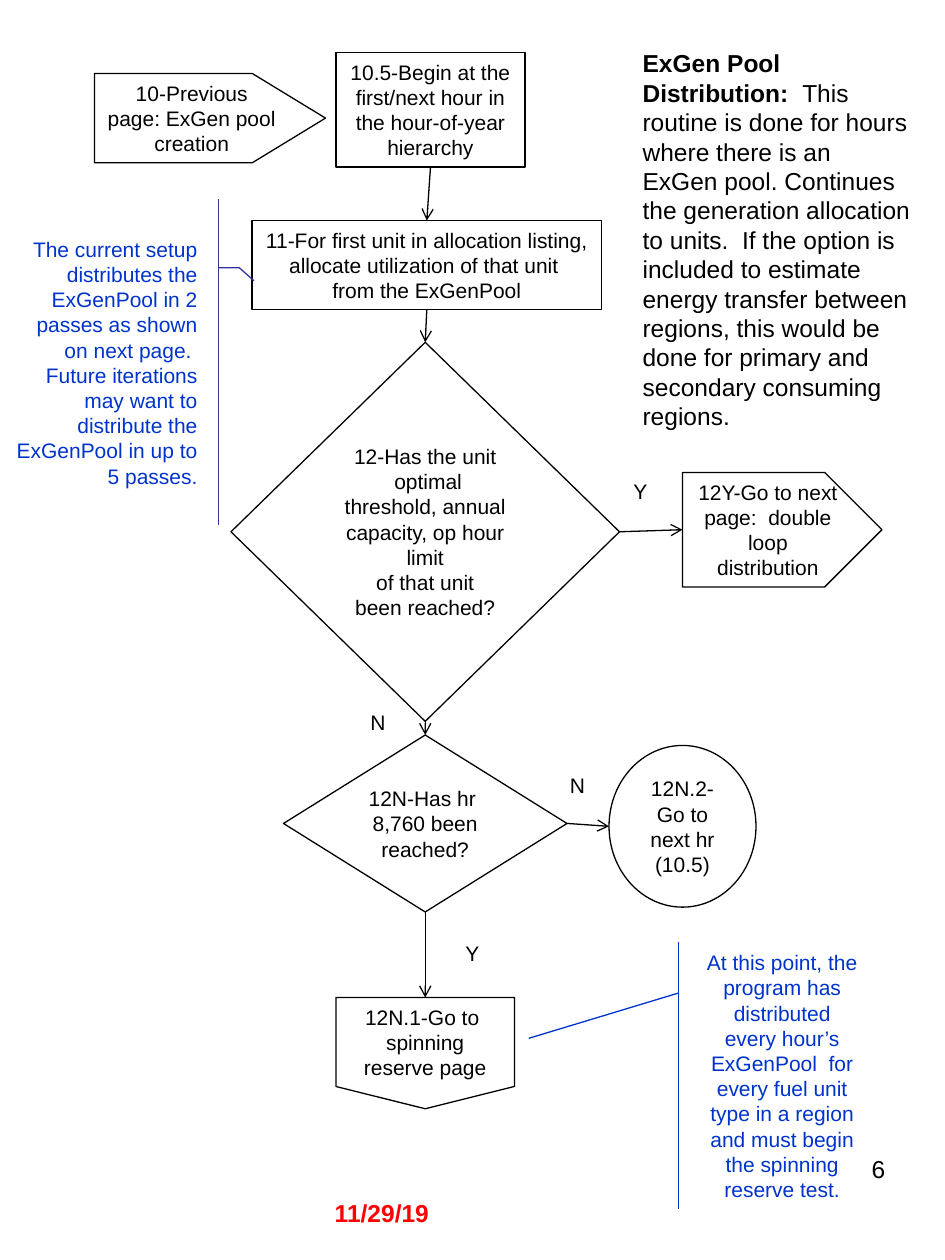
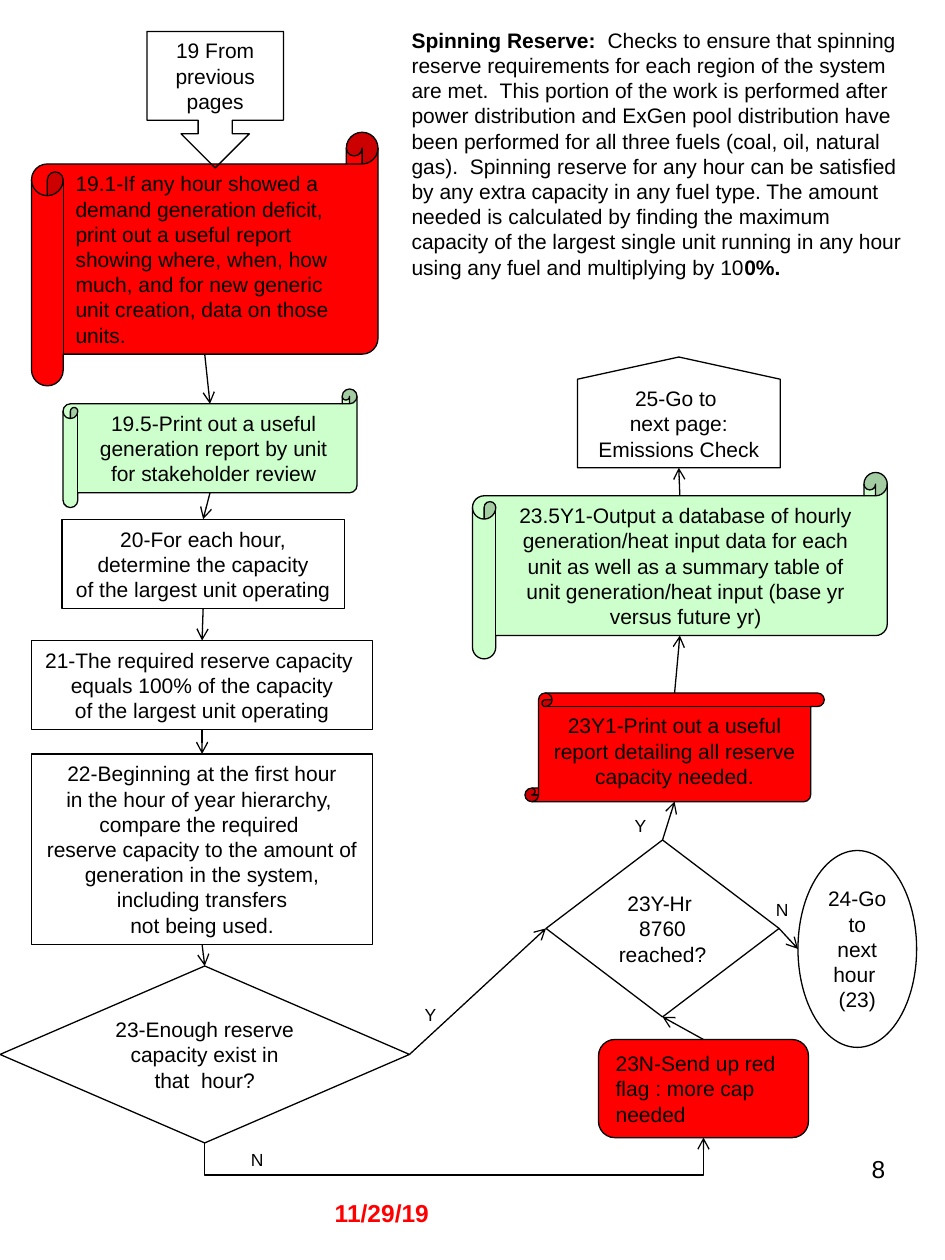
import pptx
import pptx.util
import pptx.dml.color
import pptx.enum.shapes
import pptx.enum.text
import pptx.oxml
import pptx.oxml.ns

KIND = pptx.enum.shapes.MSO_SHAPE
LINK = pptx.enum.shapes.MSO_CONNECTOR
ALIGN = pptx.enum.text.PP_ALIGN
ANCHOR = pptx.enum.text.MSO_ANCHOR
FIT = pptx.enum.text.MSO_AUTO_SIZE
QN = pptx.oxml.ns.qn

WIDE, HIGH = pptx.util.Inches(7.5), pptx.util.Inches(10)
COLS, ROWS = 90, 120
HUES = {"ink": "000000", "alert": "FF0000", "mint": "CCFFCC",
        "note": "0033CC", "rule": "333399"}
FACE = "Arial"
SCROLL = 0.125
NUMBER = (64.5, 109.3, 21, 8.3)
DATE = (30.7, 113.5, 28.5, 4.1)

POOL_HEAD = "ExGen Pool Distribution:  "
POOL_BODY = (
    "This routine is done for hours where there is an ExGen pool. "
    "Continues the generation allocation to units.  If the option is "
    "included to estimate energy transfer between regions, this would be "
    "done for primary and secondary consuming regions.")
SPIN_HEAD = "Spinning Reserve:  "
SPIN_BODY = (
    "Checks to ensure that spinning reserve requirements for each region of "
    "the system are met.  This portion of the work is performed after power "
    "distribution and ExGen pool distribution have been performed for all "
    "three fuels (coal, oil, natural gas).  Spinning reserve for any hour "
    "can be satisfied by any extra capacity in any fuel type. The amount "
    "needed is calculated by finding the maximum capacity of the largest "
    "single unit running in any hour using any fuel and multiplying by 10")

POOL_NODES = {
    "11": (KIND.FLOWCHART_PROCESS, (24, 21, 33.3, 8.5),
           "11-For first unit in allocation listing,\n"
           "allocate utilization of that unit \nfrom the ExGenPool",
           {"wrap": False}),
    "12": (KIND.FLOWCHART_DECISION, (22, 32.6, 37, 36.1),
           "12-Has the unit\n optimal threshold, annual capacity, op hour "
           "limit\n of that unit \nbeen reached?", {}),
    "12N.2": (KIND.FLOWCHART_CONNECTOR, (58, 71, 14, 15.4),
              "12N.2-Go to next hr (10.5)", {}),
    "12N": (KIND.FLOWCHART_DECISION, (27, 70, 27, 16.85),
            "12N-Has hr \n8,760 been\nreached?", {}),
    "12N.1": (KIND.FLOWCHART_OFFPAGE_CONNECTOR, (32, 95, 17, 10.6),
              "12N.1-Go to \nspinning reserve page", {}),
    "passes": (KIND.LINE_CALLOUT_2_ACCENT_BAR, (0, 19, 20, 31),
               "The current setup distributes the ExGenPool in 2 passes as "
               "shown on next page.  Future iterations may want to distribute "
               "the ExGenPool in up to 5 passes.",
               {"bend": (0.21, 1.04, 0.21, 1.14, 0.25, 1.21),
                "line": "rule", "ink": "note", "align": ALIGN.RIGHT}),
    "10": (KIND.PENTAGON, (9, 7, 22, 8.5),
           "10-Previous page: ExGen pool creation", {"bend": (0.82,)}),
    "10.5": (KIND.RECTANGLE, (32, 5, 18, 10.9),
             "10.5-Begin at the first/next hour in the hour-of-year "
             "hierarchy", {}),
    "12Y": (KIND.PENTAGON, (65, 45, 19, 10.9),
            "12Y-Go to next page:  double loop distribution", {}),
    "status": (KIND.LINE_CALLOUT_1_ACCENT_BAR, (66, 89.75, 17, 25.4),
               "At this point, the program has distributed every hour\u2019s "
               "ExGenPool  for every fuel unit type in a region and must "
               "begin the spinning reserve test.",
               {"bend": (0.19, -0.08, 0.36, -0.92),
                "line": "note", "ink": "note"}),
}
POOL_LINKS = [("10.5", "bottom", "11", "top"), ("11", "bottom", "12", "top"),
              ("12", "bottom", "12N", "top"), ("12N", "bottom", "12N.1", "top"),
              ("12", "right", "12Y", "left"), ("12N", "right", "12N.2", "left")]
POOL_TAGS = [("N", (34, 67, 4, 3.6)), ("Y", (58, 45, 6, 3.6)),
             ("N", (53, 73, 4, 3.6)), ("Y", (42, 89, 6, 3.6))]

SPIN_NODES = {
    "20": (KIND.FLOWCHART_PROCESS, (5.9, 49.45, 26.9, 8.5),
           "20-For each hour,\ndetermine the capacity\n"
           "of the largest unit operating", {"wrap": False}),
    "21": (KIND.FLOWCHART_PROCESS, (3, 61, 32.5, 8.5),
           "21-The required reserve capacity \nequals 100% of the capacity\n"
           "of the largest unit operating", {"wrap": False}),
    "23": (KIND.FLOWCHART_DECISION, (0, 92, 39, 16.85),
           "23-Enough reserve \ncapacity exist in that  hour?", {}),
    "22": (KIND.FLOWCHART_PROCESS, (3, 71.8, 32.5, 18.15),
           "22-Beginning at the first hour\nin the hour of year hierarchy, \n"
           "compare the required \nreserve capacity to the amount of "
           "generation in the system, including transfers\nnot being used.",
           {}),
    "23Y": (KIND.FLOWCHART_DECISION, (52, 80, 22.2, 16.85),
            "23Y-Hr  8760 reached?", {}),
    "24": (KIND.FLOWCHART_CONNECTOR, (76, 81, 11.3, 18.75),
           "24-Go\n to \nnext\nhour \n(23)", {"wrap": False}),
    "25": (KIND.FLOWCHART_OFFPAGE_CONNECTOR, (55, 34, 19.3, 10.55),
           "25-Go to \nnext page: Emissions Check", {"turn": 180}),
    "23N": (KIND.FLOWCHART_ALTERNATE_PROCESS, (57, 99, 20, 9.35),
            "23N-Send up red flag : more cap needed",
            {"fill": "alert", "align": ALIGN.LEFT}),
    "23Y1": (KIND.VERTICAL_SCROLL, (50, 66, 28.5, 10.35),
             "23Y1-Print out a useful report detailing all reserve capacity "
             "needed.", {"fill": "alert", "bend": (SCROLL,)}),
    "23.5Y1": (KIND.HORIZONTAL_SCROLL, (45, 45, 39.5, 17.75),
               "23.5Y1-Output a database of hourly generation/heat input data "
               "for each unit as well as a summary table of unit "
               "generation/heat input (base yr versus future yr)",
               {"fill": "mint", "bend": (SCROLL,)}),
    "19.5": (KIND.HORIZONTAL_SCROLL, (6, 37.05, 28, 11.3),
             "19.5-Print out a useful generation report by unit for "
             "stakeholder review", {"fill": "mint", "bend": (SCROLL,)}),
    "19.1": (KIND.HORIZONTAL_SCROLL, (3, 12.6, 33, 24.15),
             "19.1-If any hour showed a demand generation deficit, print out "
             "a useful report showing where, when, how much, and for new "
             "generic unit creation, data on those units.",
             {"fill": "alert", "align": ALIGN.LEFT, "bend": (SCROLL,)}),
    "19": (KIND.DOWN_ARROW_CALLOUT, (14, 3, 13, 13),
           "19 From previous pages", {}),
}
SPIN_LINKS = [("19.1", "bottom", "19.5", "top"), ("19.5", "bottom", "20", "top"),
              ("20", "bottom", "21", "top"), ("21", "bottom", "22", "top"),
              ("22", "bottom", "23", "top"), ("23N", "top", "23Y", "bottom"),
              ("23Y", "right", "24", "left"), ("23Y", "top", "23Y1", "bottom"),
              ("23Y1", "top", "23.5Y1", "bottom"),
              ("23.5Y1", "top", "25", "bottom"), ("23", "right", "23Y", "left")]
SPIN_TAGS = [("Y", (38, 95, 6, 3.2)), ("N", (22, 108.8, 5, 3.2)),
             ("N", (72, 85, 5, 3.2)), ("Y", (58, 77, 6, 3.2))]


def across(cols):
    return round(WIDE * cols / COLS)


def down(rows):
    return round(HIGH * rows / ROWS)


def place(box):
    left, top, width, height = box
    return across(left), down(top), across(width), down(height)


def hue(name):
    return pptx.dml.color.RGBColor.from_string(HUES[name])


def apply(target, values):
    for name, value in values.items():
        setattr(target, name, value)


def write(shape, lines, size=12, ink="ink", align=ALIGN.CENTER,
          anchor=ANCHOR.TOP, wrap=True):
    frame = shape.text_frame
    apply(frame, {"word_wrap": wrap, "auto_size": FIT.NONE,
                  "vertical_anchor": anchor})
    for place_no, runs in enumerate(lines):
        para = frame.add_paragraph() if place_no else frame.paragraphs[0]
        para.alignment = align
        for words, bold in runs:
            run = para.add_run()
            run.text = words
            apply(run.font, {"name": FACE, "size": pptx.util.Pt(size),
                             "bold": bold})
            run.font.color.rgb = hue(ink)


def label(slide, box, words, bold=False, **look):
    write(slide.shapes.add_textbox(*place(box)), [[(words, bold)]], **look)


def head(slide, box, runs, size):
    title = slide.shapes.title
    apply(title, dict(zip(("left", "top", "width", "height"), place(box))))
    write(title, [runs], size=size, align=ALIGN.LEFT)


def node(slide, kind, box, words, fill=None, line="ink", bend=(), turn=0,
         **look):
    shape = slide.shapes.add_shape(kind, *place(box))
    shape.shadow.inherit = False
    if fill:
        shape.fill.solid()
        shape.fill.fore_color.rgb = hue(fill)
    else:
        shape.fill.background()
    shape.line.color.rgb = hue(line)
    shape.line.width = pptx.util.Pt(0.75)
    for index, value in enumerate(bend):
        shape.adjustments[index] = value
    lines = [[(words_line, False)] for words_line in words.split("\n")]
    write(shape, lines, anchor=ANCHOR.MIDDLE, **look)
    if turn:
        shape.rotation = turn
        body = shape.element.find(".//" + QN("a:bodyPr"))
        body.set("rot", str(turn * 60000))


def dock(item, side):
    kind, (left, top, width, height) = item[:2]
    curl = 0
    if kind == KIND.HORIZONTAL_SCROLL:
        curl = SCROLL * min(width, height)
    spots = {"top": (left + width / 2, top + curl),
             "bottom": (left + width / 2, top + height - curl),
             "left": (left, top + height / 2),
             "right": (left + width, top + height / 2)}
    col, row = spots[side]
    return across(col), down(row)


def arrow(slide, start, end, kind=LINK.STRAIGHT):
    line = slide.shapes.add_connector(kind, *start, *end)
    line.line.color.rgb = hue("ink")
    line.line.width = pptx.util.Pt(0.75)
    props = line.element.spPr
    tail = pptx.oxml.ns.nsdecls("a")
    props.find(QN("a:ln")).append(
        pptx.oxml.parse_xml(f'<a:tailEnd {tail} type="arrow"/>'))
    props.append(pptx.oxml.parse_xml(f"<a:effectLst {tail}/>"))
    return line


def detour(slide, start, end, floor):
    line = arrow(slide, start, end, LINK.ELBOW)
    run, rise = end[0] - start[0], start[1] - end[1]
    mid_x, mid_y = (start[0] + end[0]) // 2, (start[1] + end[1]) // 2
    apply(line, {"left": mid_x - rise // 2, "top": mid_y - run // 2,
                 "width": rise, "height": run})
    props = line.element.spPr
    frame = props.find(QN("a:xfrm"))
    for name, value in {"rot": "5400000", "flipH": "1", "flipV": "1"}.items():
        frame.set(name, value)
    share = round(-100000 * (floor - start[1]) / rise)
    guides = props.find(QN("a:prstGeom")).get_or_add_avLst()
    guides.append(pptx.oxml.parse_xml(
        f'<a:gd {pptx.oxml.ns.nsdecls("a")} name="adj1" fmla="val {share}"/>'))


def chart(deck, number, nodes, links, tags, size):
    slide = deck.slides.add_slide(deck.slide_layouts[5])
    for kind, box, words, look in nodes.values():
        node(slide, kind, box, words, **look)
    for first, leave, last, enter in links:
        arrow(slide, dock(nodes[first], leave), dock(nodes[last], enter))
    for words, box in tags:
        label(slide, box, words, size=size)
    label(slide, NUMBER, number, size=14, align=ALIGN.RIGHT)
    label(slide, DATE, "11/29/19", bold=True, size=14, ink="alert",
          align=ALIGN.LEFT)
    return slide


def main():
    deck = pptx.Presentation()
    apply(deck, {"slide_width": WIDE, "slide_height": HIGH})
    pool = chart(deck, "6", POOL_NODES, POOL_LINKS, POOL_TAGS, 12)
    head(pool, (60, 4, 28, 38), [(POOL_HEAD, True), (POOL_BODY, False)], 14)
    spin = chart(deck, "8", SPIN_NODES, SPIN_LINKS, SPIN_TAGS, 10)
    head(spin, (38, 2, 50, 25.4),
         [(SPIN_HEAD, True), (SPIN_BODY, False), ("0%.", True)], 12)
    detour(spin, dock(SPIN_NODES["23"], "bottom"),
           dock(SPIN_NODES["23N"], "bottom"), down(111.9))
    deck.save("out.pptx")


main()
